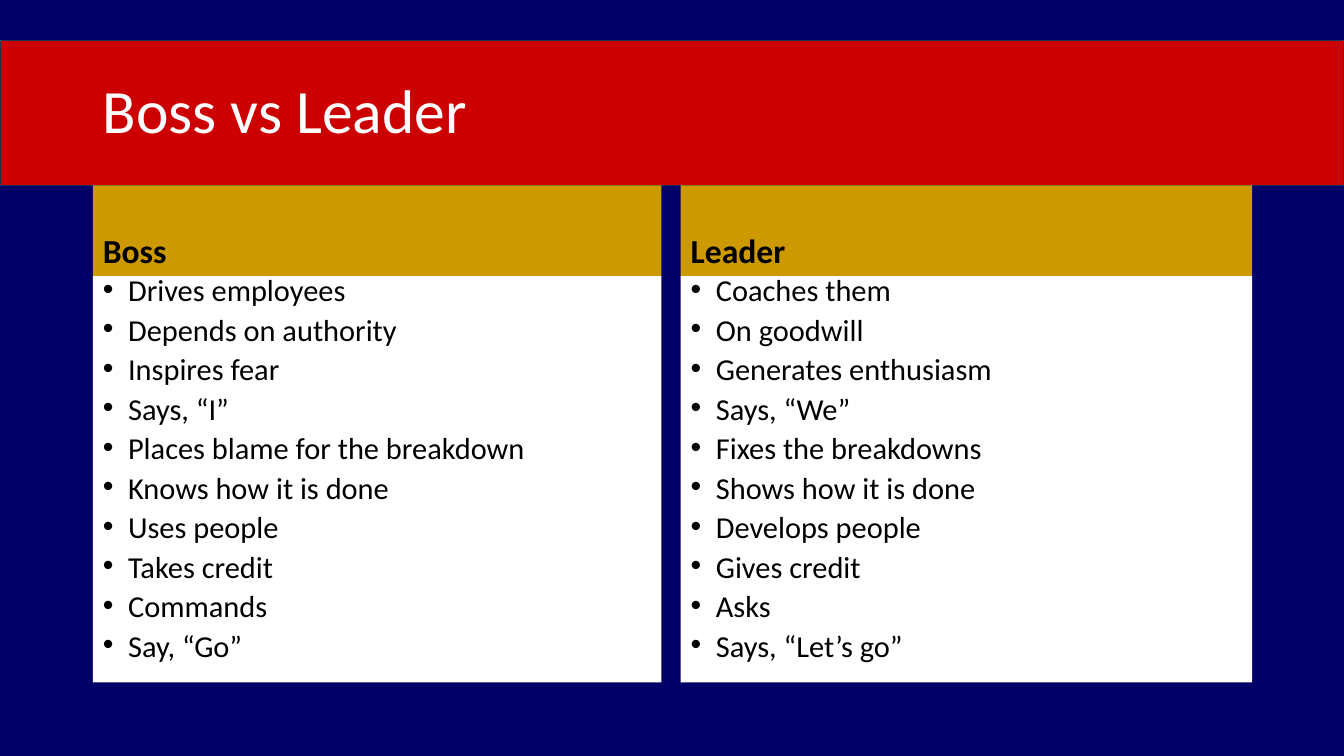
"""Build the Boss vs Leader comparison slide."""
from dataclasses import dataclass

from pptx import Presentation
from pptx.dml.color import RGBColor
from pptx.enum.shapes import MSO_SHAPE
from pptx.enum.text import MSO_ANCHOR, MSO_AUTO_SIZE, PP_ALIGN
from pptx.util import Inches, Pt

RECTANGLE = MSO_SHAPE.RECTANGLE
TOP, MIDDLE, BOTTOM = MSO_ANCHOR.TOP, MSO_ANCHOR.MIDDLE, MSO_ANCHOR.BOTTOM
NO_AUTOFIT = MSO_AUTO_SIZE.NONE
LEFT = PP_ALIGN.LEFT
COMPARISON_LAYOUT = 4


@dataclass(frozen=True)
class Theme:
    font: str = "Calibri"
    navy: RGBColor = RGBColor(0x00, 0x00, 0x66)
    red: RGBColor = RGBColor(0xCC, 0x00, 0x00)
    band_edge: RGBColor = RGBColor(0x1E, 0x32, 0x56)
    gold: RGBColor = RGBColor(0xCC, 0x99, 0x00)
    white: RGBColor = RGBColor(0xFF, 0xFF, 0xFF)
    black: RGBColor = RGBColor(0x00, 0x00, 0x00)
    title_size: float = 44
    heading_size: float = 24
    trait_size: float = 21.7


THEME = Theme()


def fill_solid(target, color):
    target.fill.solid()
    target.fill.fore_color.rgb = color


def set_text(holder, box, lines, size, color, anchor, bold=False, spacing=0.9):
    holder.left, holder.top, holder.width, holder.height = map(Inches, box)
    frame = holder.text_frame
    frame.text = "\n".join(lines)
    frame.auto_size = NO_AUTOFIT
    frame.vertical_anchor = anchor
    for number, paragraph in enumerate(frame.paragraphs):
        paragraph.alignment = LEFT
        paragraph.line_spacing = spacing
        paragraph.space_before = Pt(10 if number else 0)
        font = paragraph.runs[0].font
        font.name, font.size, font.bold = THEME.font, Pt(size), bold
        font.color.rgb = color


presentation = Presentation()
presentation.slide_width = Inches(13.33)
presentation.slide_height = Inches(7.5)
slide = presentation.slides.add_slide(presentation.slide_layouts[COMPARISON_LAYOUT])
fill_solid(slide.background, THEME.navy)

title_band = slide.shapes.add_shape(
    RECTANGLE, 0, Inches(0.4), presentation.slide_width, Inches(1.44))
title_band.shadow.inherit = False
fill_solid(title_band, THEME.red)
title_band.line.color.rgb = THEME.band_edge
title_band.line.width = Pt(1)
slide.shapes.title.element.addprevious(title_band.element)

set_text(slide.shapes.title, (0.92, 0.4, 11.5, 1.45), ["Boss vs Leader"],
         THEME.title_size, THEME.white, MIDDLE)

columns = [
    (1, 0.92, 5.64, "Boss", [
        "Drives employees", "Depends on authority", "Inspires fear", "Says, “I”",
        "Places blame for the breakdown", "Knows how it is done", "Uses people",
        "Takes credit", "Commands", "Say, “Go”"]),
    (3, 6.75, 5.67, "Leader", [
        "Coaches them", "On goodwill", "Generates enthusiasm", "Says, “We”",
        "Fixes the breakdowns", "Shows how it is done", "Develops people",
        "Gives credit", "Asks", "Says, “Let’s go”"]),
]

for heading_index, left, width, role, traits in columns:
    heading = slide.placeholders[heading_index]
    fill_solid(heading, THEME.gold)
    set_text(heading, (left, 1.84, width, 0.9), [role],
             THEME.heading_size, THEME.black, BOTTOM, bold=True)

    trait_list = slide.placeholders[heading_index + 1]
    fill_solid(trait_list, THEME.white)
    set_text(trait_list, (left, 2.74, width, 4.03), traits,
             THEME.trait_size, THEME.black, TOP, spacing=0.7)
    for trait in trait_list.text_frame.paragraphs:
        properties = trait._p.get_or_add_pPr()
        properties.set("marL", str(Inches(0.25)))
        properties.set("indent", str(Inches(-0.25)))

presentation.save("out.pptx")
